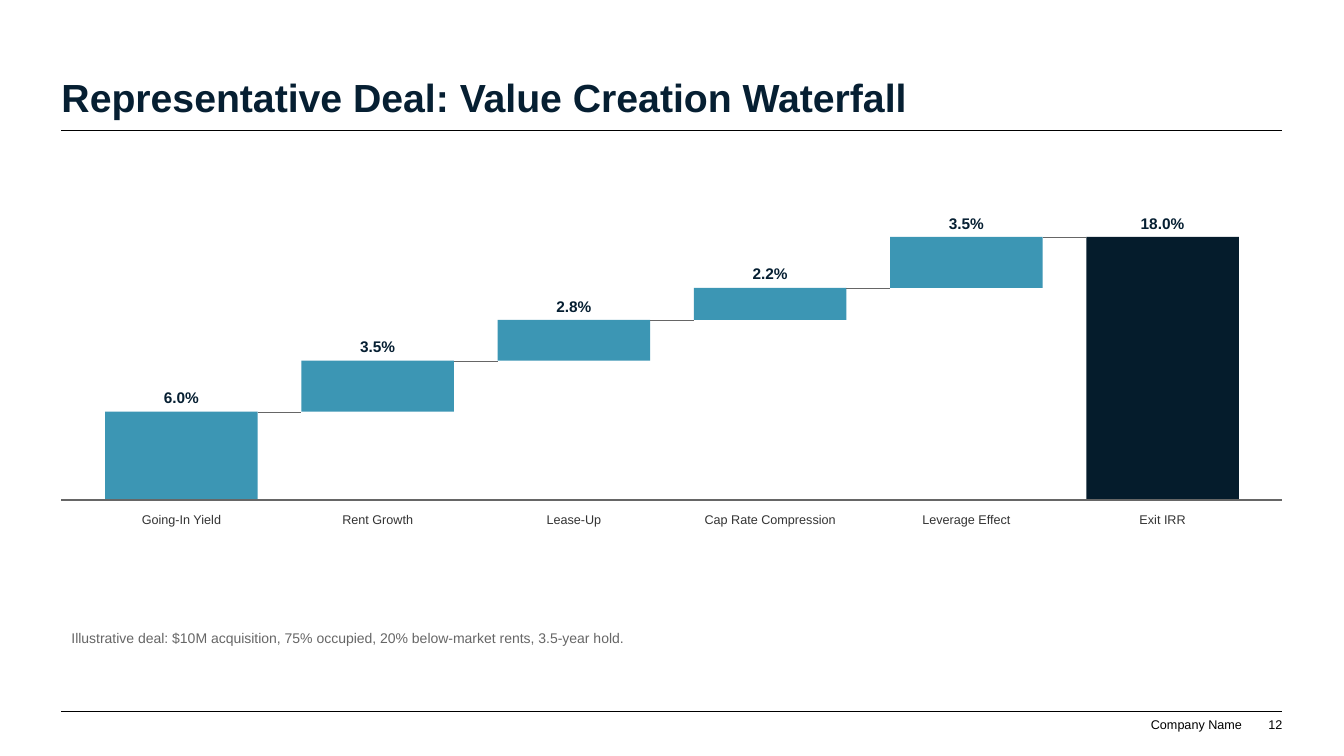
from dataclasses import dataclass

import pptx
import pptx.dml.color
import pptx.enum.shapes
import pptx.enum.text
import pptx.oxml
import pptx.oxml.ns
import pptx.util

WIDTH, HEIGHT = 13.33, 7.5
EDGE = 0.61                       # side margin, inches
SPAN = 28                         # columns between the margins
COL = (WIDTH - 2 * EDGE) / SPAN
ROW = HEIGHT / 75
BAR = 3.5                         # columns per bar, with one column between bars
BASE = 49.5                       # row of the zero line
RISE = 26 / 18                    # rows per percent
PAD = 0.1 / COL                   # side inset of a text box, in columns

NAVY, DARK, TEAL = "061F32", "051C2C", "3C96B4"
GRAY, TEXT, BLACK = "666666", "333333", "000000"

ALIGN = pptx.enum.text.PP_ALIGN
ANCHOR = pptx.enum.text.MSO_ANCHOR


@dataclass
class Step:
    label: str
    value: float
    total: bool = False


@dataclass
class Style:
    size: float
    color: str
    bold: bool = False
    align: ALIGN = ALIGN.LEFT


STEPS = [
    Step("Going-In Yield", 6.0),
    Step("Rent Growth", 3.5),
    Step("Lease-Up", 2.8),
    Step("Cap Rate Compression", 2.2),
    Step("Leverage Effect", 3.5),
    Step("Exit IRR", 18.0, total=True),
]

HEAD = Style(28, NAVY, bold=True)
VALUE = Style(11, NAVY, bold=True, align=ALIGN.CENTER)
LABEL = Style(9, TEXT, align=ALIGN.CENTER)
NOTE = Style(10, GRAY)
FOOT = Style(9, BLACK, align=ALIGN.RIGHT)


def paint(code: str) -> pptx.dml.color.RGBColor:
    return pptx.dml.color.RGBColor.from_string(code)


def across(col: float) -> int:
    return pptx.util.Inches(EDGE + col * COL)


def down(row: float) -> int:
    return pptx.util.Inches(row * ROW)


def place(col: float, row: float, cols: float, rows: float) -> tuple[int, int, int, int]:
    """Turn a grid area into left, top, width and height."""
    return across(col), down(row), pptx.util.Inches(cols * COL), down(rows)


def write(shape, text: str, style: Style, flush: bool = False) -> None:
    """Fill a shape with one line; flush means no insets and text at the bottom."""
    frame = shape.text_frame
    frame.word_wrap = True
    frame.auto_size = pptx.enum.text.MSO_AUTO_SIZE.NONE
    frame.vertical_anchor = ANCHOR.BOTTOM if flush else ANCHOR.TOP
    if flush:
        frame.margin_left = frame.margin_right = 0
        frame.margin_top = frame.margin_bottom = 0
    line = frame.paragraphs[0]
    line.text = text
    line.alignment = style.align
    line.font.name = "Arial"
    line.font.size = pptx.util.Pt(style.size)
    line.font.bold = style.bold
    line.font.color.rgb = paint(style.color)


def add_text(slide, area: tuple[int, int, int, int], text: str, style: Style,
             flush: bool = False) -> None:
    write(slide.shapes.add_textbox(*area), text, style, flush)


def add_rule(slide, start: float, end: float, row: float, color: str, weight: float) -> None:
    rule = slide.shapes.add_connector(
        pptx.enum.shapes.MSO_CONNECTOR.STRAIGHT,
        across(start), down(row), across(end), down(row))
    rule.line.color.rgb = paint(color)
    rule.line.width = pptx.util.Pt(weight)
    props = rule._element.spPr
    props.append(pptx.oxml.parse_xml(f"<a:effectLst {pptx.oxml.ns.nsdecls('a')}/>"))


def add_bar(slide, area: tuple[int, int, int, int], color: str) -> None:
    bar = slide.shapes.add_shape(pptx.enum.shapes.MSO_SHAPE.RECTANGLE, *area)
    bar.shadow.inherit = False
    bar.fill.solid()
    bar.fill.fore_color.rgb = paint(color)
    bar.line.fill.background()


def add_steps(slide, steps: list[Step]) -> None:
    """Stack each step on the sum so far; a total starts from zero."""
    level = 0.0
    for index, step in enumerate(steps):
        start = 1 + index * (BAR + 1)
        level = step.value if step.total else level + step.value
        top = BASE - level * RISE
        add_bar(slide, place(start, top, BAR, step.value * RISE),
                DARK if step.total else TEAL)
        add_text(slide, place(start - PAD, top - 2.8, BAR + 2 * PAD, 2.5),
                 f"{step.value:.1f}%", VALUE)
        add_text(slide, place(start - 1.5 * PAD, BASE + 0.8, BAR + 3 * PAD, 6),
                 step.label, LABEL)
        if index < len(steps) - 1:
            add_rule(slide, start + BAR, start + BAR + 1, top + 0.07, GRAY, 1)


def main() -> None:
    deck = pptx.Presentation()
    deck.slide_width = pptx.util.Inches(WIDTH)
    deck.slide_height = pptx.util.Inches(HEIGHT)
    slide = deck.slides.add_slide(deck.slide_layouts[5])

    title = slide.shapes.title
    title.left, title.top, title.width, title.height = place(0, 3.9, SPAN, 8)
    write(title, "Representative Deal: Value Creation Waterfall", HEAD, flush=True)
    for row in (12.9, 70.6):
        add_rule(slide, 0, SPAN, row, BLACK, 0.5)

    add_rule(slide, 0, SPAN, BASE + 0.1, GRAY, 1.5)
    add_steps(slide, STEPS)

    add_text(slide, place(0, 62, SPAN, 5),
             "Illustrative deal: $10M acquisition, 75% occupied, "
             "20% below-market rents, 3.5-year hold.", NOTE)
    add_text(slide, place(SPAN - 3.03, 71.1, 2.1, 1.5), "Company Name", FOOT, flush=True)
    add_text(slide, place(SPAN - 0.83, 71.1, 0.83, 1.5), "12", FOOT, flush=True)
    deck.save("out.pptx")


if __name__ == "__main__":
    main()
